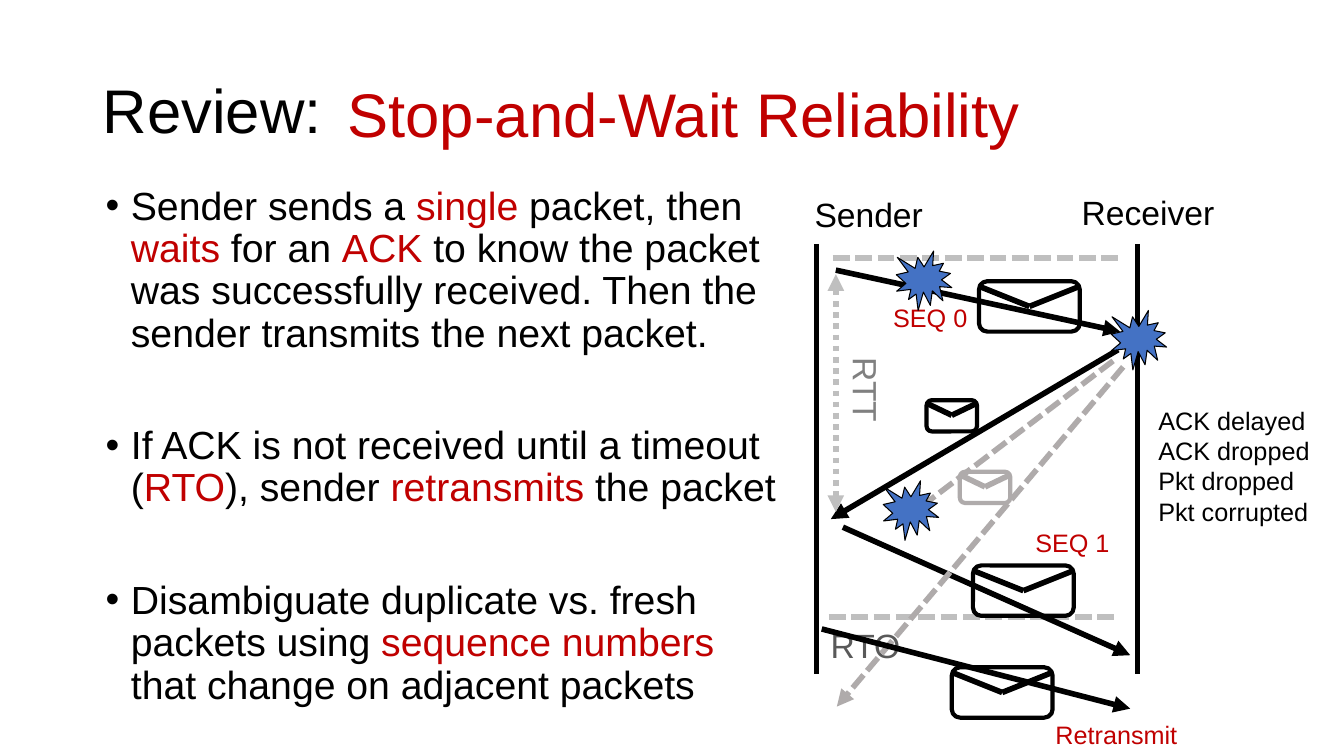
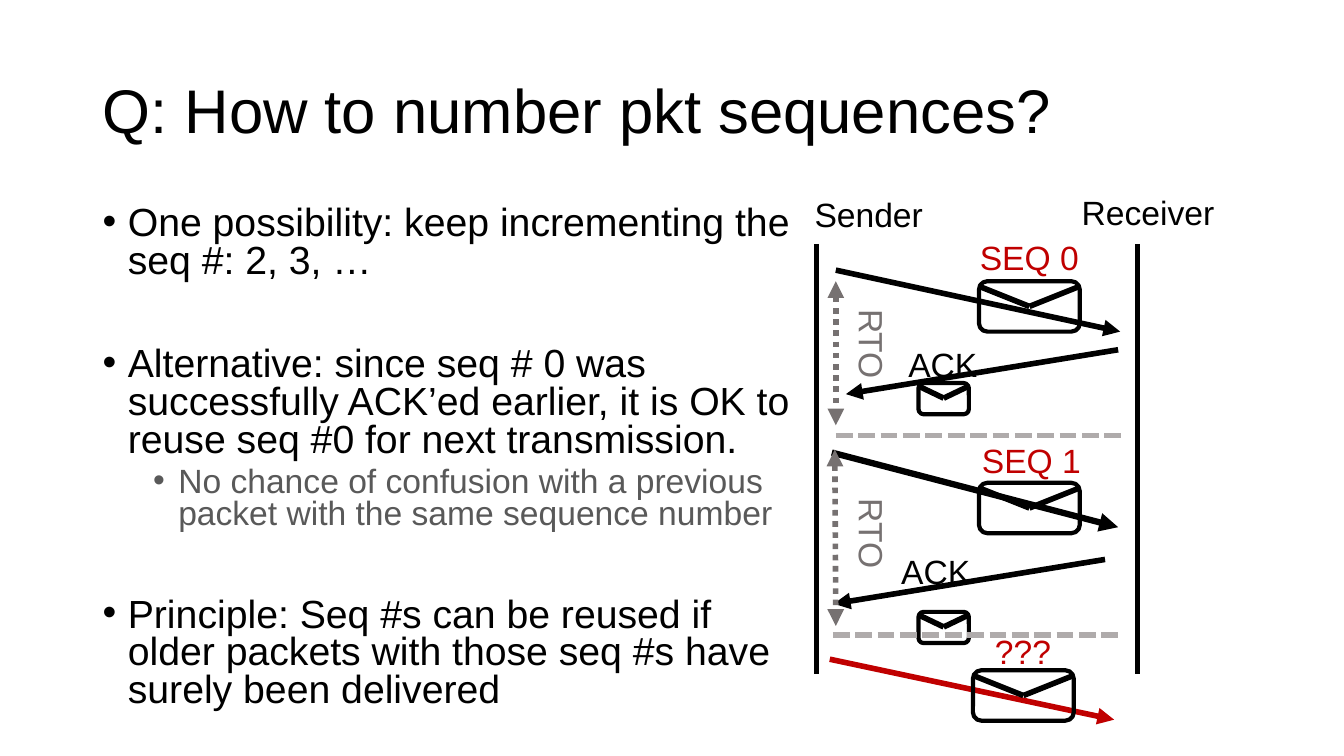
"""Build two slides on stop-and-wait reliability and sequence numbers."""

import dataclasses
import functools
import typing

import lxml.etree
import pptx
import pptx.dml.color
import pptx.enum.dml
import pptx.enum.shapes
import pptx.enum.text
import pptx.oxml.ns
import pptx.util

PX = 9144
FONT = "Arial"
COLORS = {
    "black": "000000",
    "red": "C00000",
    "blue": "4472C4",
    "silver": "BFBFBF",
    "pale": "AFABAB",
    "gray": "808080",
    "slate": "767171",
    "dim": "595959",
}
DASHES = {
    "dash": pptx.enum.dml.MSO_LINE.SQUARE_DOT,
    "dot": pptx.enum.dml.MSO_LINE.ROUND_DOT,
}
SHAPES = pptx.enum.shapes.MSO_SHAPE
TITLE_SIZE = 44
TITLE_AREA = (92, 40, 1150, 145)
INDENT = 25


@dataclasses.dataclass(frozen=True)
class Line:
    start: tuple[int, int]
    end: tuple[int, int]
    color: str = "black"
    dash: str = ""
    heads: tuple[str, ...] = ()
    width: float = 4


@dataclasses.dataclass(frozen=True)
class Envelope:
    left: int
    top: int
    color: str = "black"
    small: bool = False


@dataclasses.dataclass(frozen=True)
class Burst:
    left: int
    top: int


@dataclasses.dataclass(frozen=True)
class Label:
    text: str
    area: tuple[int, int, int, int]
    color: str = "black"
    size: int = 24
    rotation: int = 0


class Point(typing.NamedTuple):
    text: str
    space_before: int = 0
    margin: int = INDENT
    size: int = 28
    color: str = "black"


def px(length: int) -> int:
    return pptx.util.Emu(length * PX)


def scaled(*lengths: int) -> list[int]:
    return [px(length) for length in lengths]


def rgb(name: str) -> pptx.dml.color.RGBColor:
    return pptx.dml.color.RGBColor.from_string(COLORS[name])


def add_element(parent, tag: str, **attributes: str):
    element = lxml.etree.SubElement(parent, pptx.oxml.ns.qn(tag))
    for name, value in attributes.items():
        element.set(name, value)
    return element


def write_text(para, text: str, *, size: int, color: str = "black",
               line_spacing: float = 1.0, space_before: int = 0,
               bullet_margin: int = 0) -> None:
    """Fill a paragraph; the parts between asterisks are red."""
    if bullet_margin:
        properties = para._p.get_or_add_pPr()
        properties.set("marL", str(px(bullet_margin)))
        properties.set("indent", str(px(-INDENT)))
        add_element(properties, "a:buFont", typeface=FONT)
        add_element(properties, "a:buChar", char="•")
    para.line_spacing = line_spacing
    para.space_before = pptx.util.Pt(space_before)
    for index, part in enumerate(text.split("*")):
        if part:
            span = para.add_run()
            span.text = part
            span.font.name = FONT
            span.font.size = pptx.util.Pt(size)
            span.font.color.rgb = rgb("red" if index % 2 else color)


def add_box(slide, area: tuple[int, int, int, int], rotation: int = 0):
    box = slide.shapes.add_textbox(*scaled(*area))
    box.rotation = rotation
    box.text_frame.word_wrap = True
    return box.text_frame


def paragraphs(frame, count: int) -> list:
    return [frame.paragraphs[0]] + [frame.add_paragraph() for _ in range(count - 1)]


def add_title(slide, text: str) -> None:
    frame = add_box(slide, TITLE_AREA)
    frame.vertical_anchor = pptx.enum.text.MSO_ANCHOR.MIDDLE
    write_text(frame.paragraphs[0], text, size=TITLE_SIZE, line_spacing=0.9)


def add_points(slide, area: tuple[int, int, int, int], points: list[Point],
               line_spacing: float) -> None:
    frame = add_box(slide, area)
    for para, point in zip(paragraphs(frame, len(points)), points):
        write_text(para, point.text, size=point.size, color=point.color,
                   line_spacing=line_spacing, space_before=point.space_before,
                   bullet_margin=point.margin)


@functools.singledispatch
def draw(item, slide) -> None:
    raise TypeError(item)


@draw.register(Line)
def draw_line(item: Line, slide) -> None:
    connector = slide.shapes.add_connector(
        pptx.enum.shapes.MSO_CONNECTOR.STRAIGHT, *scaled(*item.start, *item.end))
    connector.line.color.rgb = rgb(item.color)
    connector.line.width = pptx.util.Pt(item.width)
    if item.dash:
        connector.line.dash_style = DASHES[item.dash]
    for head in item.heads:
        add_element(connector.line._get_or_add_ln(), f"a:{head}", type="triangle")
    add_element(connector._element.spPr, "a:effectLst")


def add_outlined(slide, kind, area: tuple[int, int, int, int], color: str,
                 width: float, fill: str = "") -> None:
    shape = slide.shapes.add_shape(kind, *scaled(*area))
    shape.shadow.inherit = False
    if fill:
        shape.fill.solid()
        shape.fill.fore_color.rgb = rgb(fill)
    else:
        shape.fill.background()
    shape.line.color.rgb = rgb(color)
    shape.line.width = pptx.util.Pt(width)


@draw.register(Envelope)
def draw_envelope(item: Envelope, slide) -> None:
    width, height, inset, depth = (50, 31, 3, 12) if item.small else (100, 50, 5, 20)
    add_outlined(slide, SHAPES.ROUNDED_RECTANGLE,
                 (item.left, item.top, width, height), item.color, 3)
    edge = item.top + inset
    tip = (item.left + width // 2, edge + depth)
    draw_line(Line((item.left, edge), tip, item.color), slide)
    draw_line(Line(tip, (item.left + width, edge), item.color), slide)


@draw.register(Burst)
def draw_burst(item: Burst, slide) -> None:
    add_outlined(slide, SHAPES.EXPLOSION1, (item.left, item.top, 55, 59),
                 "black", 0.75, "blue")


@draw.register(Label)
def draw_label(item: Label, slide) -> None:
    frame = add_box(slide, item.area, item.rotation)
    texts = item.text.split("\n")
    for para, text in zip(paragraphs(frame, len(texts)), texts):
        write_text(para, text, size=item.size, color=item.color)


ONE_WAY = ("tailEnd",)
TWO_WAY = ("headEnd", "tailEnd")

TIMELINES = [
    Line((810, 242), (810, 669)),
    Line((1128, 242), (1128, 669)),
    Line((829, 268), (1111, 329), heads=ONE_WAY),
    Label("Sender", (798, 187, 151, 50)),
    Label("Receiver", (1063, 185, 168, 50)),
    Envelope(971, 279),
]

RELIABILITY_POINTS = [
    Point("Sender sends a *single* packet, then *waits* for an *ACK* to know the packet "
          "was successfully received. Then the sender transmits the next packet."),
    Point("If ACK is not received until a timeout (*RTO*), sender *retransmits* the packet", 50),
    Point("Disambiguate duplicate vs. fresh packets using *sequence numbers *"
          "that change on adjacent packets", 50),
]
RELIABILITY_DIAGRAM = [
    Line((1109, 347), (824, 515), heads=ONE_WAY),
    Envelope(919, 397, small=True),
    Line((822, 612), (1107, 612), "silver", "dash"),
    Line((826, 256), (1111, 256), "silver", "dash"),
    Line((829, 272), (829, 508), "silver", "dot", TWO_WAY),
    Label("RTT", (804, 375, 110, 50), "gray", rotation=90),
    Line((836, 523), (1121, 650), heads=ONE_WAY),
    Envelope(965, 561),
    Label("RTO", (814, 615, 110, 50), "dim"),
    Line((1114, 364), (830, 701), "pale", "dash", ONE_WAY),
    Label("SEQ 0", (876, 295, 108, 40), "red", 18),
    Label("SEQ 1", (1017, 518, 108, 40), "red", 18),
    Line((815, 624), (1121, 703), heads=ONE_WAY),
    Envelope(944, 662),
    Line((1104, 358), (904, 510), "pale", "dash", ONE_WAY),
    Envelope(952, 468, "pale", small=True),
    Burst(876, 477),
    Burst(889, 249),
    Label("Retransmit", (1037, 709, 253, 40), "red", 18),
    Label("Stop-and-Wait Reliability", (335, 70, 757, 84), "red", TITLE_SIZE),
    Burst(1102, 308),
    Label("ACK delayed\nACK dropped\nPkt dropped\nPkt corrupted",
          (1139, 397, 187, 131), size=18),
]

NUMBERING_POINTS = [
    Point("One possibility: keep incrementing the seq #: 2, 3, …"),
    Point("Alternative: since seq # 0 was successfully ACK’ed earlier, it is OK to "
          "reuse seq #0 for next transmission.", 47),
    Point("No chance of confusion with a previous packet with the same sequence number",
          5, 3 * INDENT, 24, "dim"),
    Point("Principle: Seq #s can be reused if older packets with those seq #s have "
          "surely been delivered", 47),
]
NUMBERING_DIAGRAM = [
    Envelope(911, 607, small=True),
    Label("ACK", (884, 542, 95, 50)),
    Line((829, 432), (1114, 432), "pale", "dash"),
    Line((829, 279), (829, 422), "slate", "dot", TWO_WAY),
    Label("RTO", (810, 327, 110, 50), "slate", rotation=90),
    Line((825, 449), (1109, 523), heads=ONE_WAY, width=4.5),
    Label("SEQ 0", (962, 230, 134, 50), "red"),
    Envelope(971, 479),
    Label("SEQ 1", (964, 432, 123, 50), "red"),
    Line((1109, 347), (839, 391), heads=ONE_WAY),
    Line((1096, 555), (827, 599), heads=ONE_WAY),
    Envelope(911, 380, small=True),
    Label("ACK", (891, 336, 95, 50)),
    Line((826, 630), (1111, 630), "pale", "dash"),
    Line((823, 654), (1105, 714), "red", heads=ONE_WAY),
    Envelope(965, 665),
    Label("???", (977, 621, 93, 50), "red"),
    Line((828, 446), (829, 621), "slate", "dot", TWO_WAY),
    Label("RTO", (810, 515, 110, 50), "slate", rotation=90),
]


def add_slide(deck, title: str, area: tuple[int, int, int, int], points: list[Point],
              line_spacing: float, diagram: list) -> None:
    slide = deck.slides.add_slide(deck.slide_layouts[6])
    add_title(slide, title)
    add_points(slide, area, points, line_spacing)
    for item in TIMELINES + diagram:
        draw(item, slide)


def main() -> None:
    deck = pptx.Presentation()
    deck.slide_width, deck.slide_height = scaled(1333, 750)
    add_slide(deck, "Review:", (95, 180, 692, 550),
              RELIABILITY_POINTS, 0.9, RELIABILITY_DIAGRAM)
    add_slide(deck, "Q: How to number pkt sequences?", (92, 200, 704, 550),
              NUMBERING_POINTS, 0.8, NUMBERING_DIAGRAM)
    deck.save("out.pptx")


if __name__ == "__main__":
    main()
